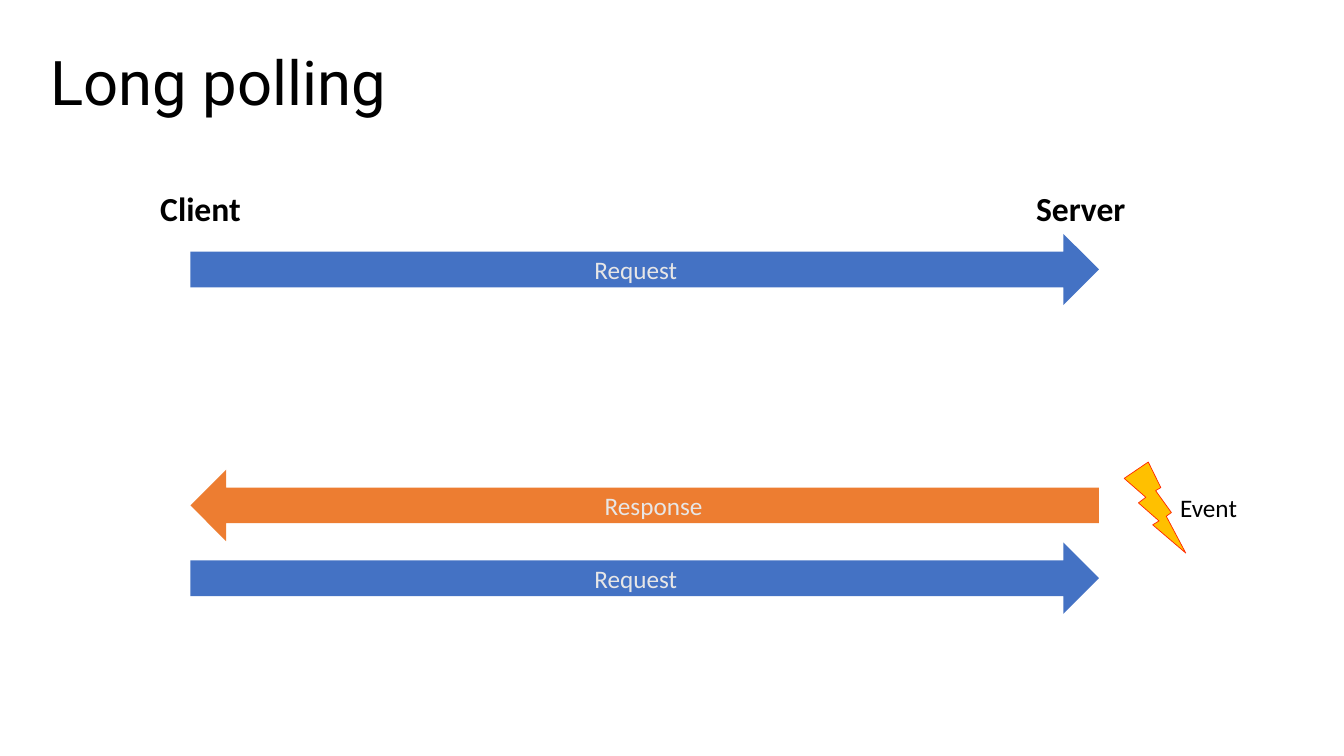
from pptx import Presentation
from pptx.dml.color import RGBColor
from pptx.enum.shapes import MSO_SHAPE
from pptx.enum.text import MSO_ANCHOR, MSO_AUTO_SIZE, PP_ALIGN
from pptx.util import Pt

BLACK, PALE = "000000", "E7E6E6"
BLUE, ORANGE, AMBER, RED = "4472C4", "ED7D31", "FFC000", "FF2600"


def color(hex_string):
    return RGBColor.from_string(hex_string)


class Sketch:
    """Holds the fonts and the current slide."""

    title_font = "Roboto"
    body_font = "Calibri"

    def __init__(self, page):
        self.page = page

    def set_text(self, frame, text, size, ink, font=None, bold=False, align=PP_ALIGN.LEFT):
        frame.text = text
        para = frame.paragraphs[0]
        para.alignment = align
        span = para.runs[0]
        span.font.name = font or self.body_font
        span.font.size = Pt(size)
        span.font.bold = bold
        span.font.color.rgb = color(ink)

    def clear_margins(self, frame):
        frame.margin_left = frame.margin_right = 0
        frame.margin_top = frame.margin_bottom = 0

    def title(self, text, left, top, width, height):
        box = self.page.shapes.title
        box.left, box.top, box.width, box.height = Pt(left), Pt(top), Pt(width), Pt(height)
        frame = box.text_frame
        self.clear_margins(frame)
        frame.auto_size = MSO_AUTO_SIZE.NONE
        frame.vertical_anchor = MSO_ANCHOR.MIDDLE
        self.set_text(frame, text, 44, BLACK, self.title_font)
        frame.paragraphs[0].line_spacing = 0.9

    def label(self, text, left, top, width, height, size, bold=False, group=None):
        shapes = (group or self.page).shapes
        box = shapes.add_textbox(Pt(left), Pt(top), Pt(width), Pt(height))
        frame = box.text_frame
        self.clear_margins(frame)
        frame.word_wrap = False
        frame.auto_size = MSO_AUTO_SIZE.SHAPE_TO_FIT_TEXT
        self.set_text(frame, text, size, BLACK, bold=bold)

    def shape(self, preset, left, top, width, height, fill, line=None, group=None):
        shapes = (group or self.page).shapes
        shape = shapes.add_shape(preset, Pt(left), Pt(top), Pt(width), Pt(height))
        shape.shadow.inherit = False
        shape.fill.solid()
        shape.fill.fore_color.rgb = color(fill)
        if line:
            shape.line.color.rgb = color(line)
            shape.line.width = Pt(0.5)
        else:
            shape.line.fill.background()
        return shape

    def message(self, text, preset, top, fill):
        arrow = self.shape(preset, 136, top, 649, 51, fill)
        arrow.text_frame.vertical_anchor = MSO_ANCHOR.MIDDLE
        self.set_text(arrow.text_frame, text, 18, PALE, align=PP_ALIGN.CENTER)


deck = Presentation()
deck.slide_width, deck.slide_height = Pt(960), Pt(540)
page = deck.slides.add_slide(deck.slide_layouts[5])
sketch = Sketch(page)

# Title
sketch.title("Long polling", 36, 36, 888, 50)

# Messages between the two parties
for text, preset, top, fill in (
    ("Request", MSO_SHAPE.RIGHT_ARROW, 167, BLUE),
    ("Response", MSO_SHAPE.LEFT_ARROW, 335.5, ORANGE),
    ("Request", MSO_SHAPE.RIGHT_ARROW, 387.5, BLUE),
):
    sketch.message(text, preset, top, fill)

# Event that triggers the response
event = page.shapes.add_group_shape()
sketch.shape(MSO_SHAPE.LIGHTNING_BOLT, 803, 330, 44, 65, AMBER, RED, event)
sketch.label("Event", 843, 351.5, 44, 22, 18, group=event)

# Party names
for party, left, width in (("Client", 114.5, 66), ("Server", 740, 73)):
    sketch.label(party, left, 134, width, 29, 24, bold=True)

deck.save("out.pptx")
